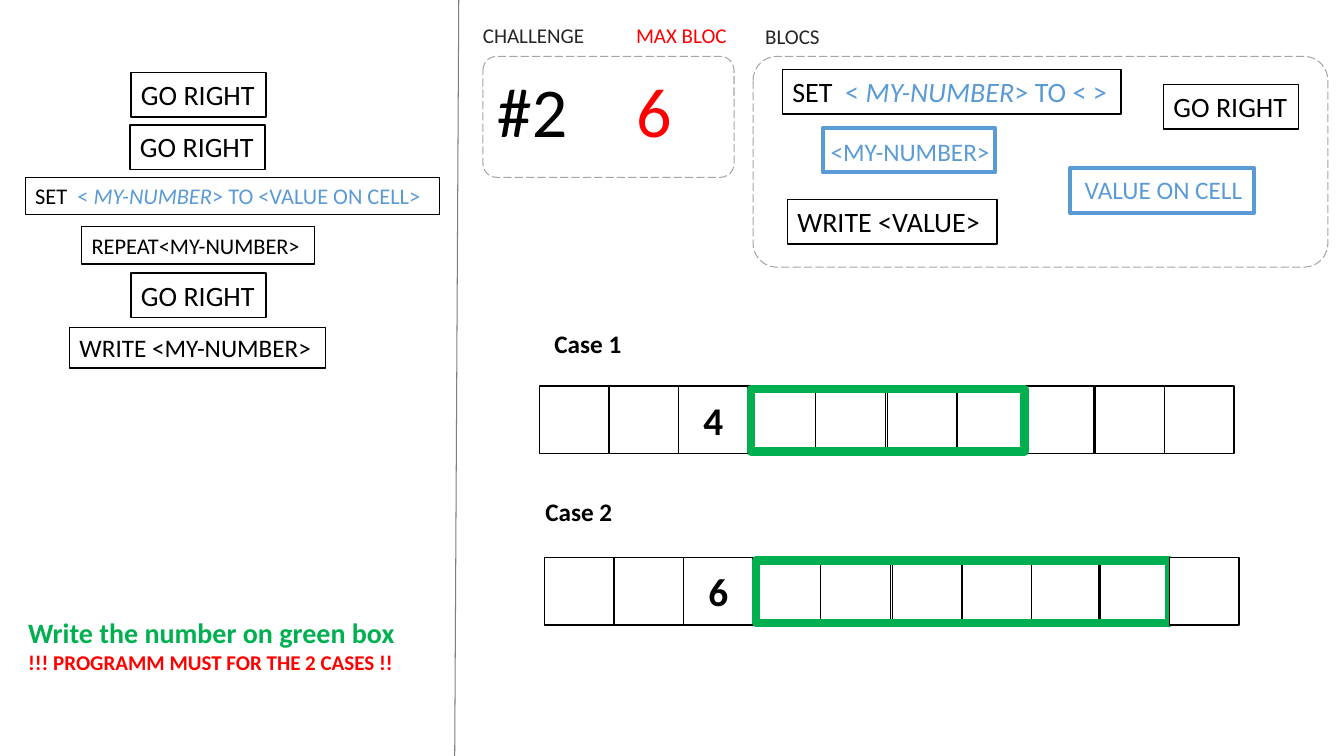
from dataclasses import dataclass

from lxml import etree
from pptx import Presentation
from pptx.dml.color import RGBColor
from pptx.enum.dml import MSO_LINE
from pptx.enum.shapes import MSO_CONNECTOR, MSO_SHAPE
from pptx.enum.text import MSO_ANCHOR, MSO_AUTO_SIZE, PP_ALIGN
from pptx.oxml.ns import qn
from pptx.util import Emu, Pt

RECTANGLE, ROUNDED = MSO_SHAPE.RECTANGLE, MSO_SHAPE.ROUNDED_RECTANGLE
LONG_DASH, STRAIGHT = MSO_LINE.LONG_DASH, MSO_CONNECTOR.STRAIGHT
LEFT, CENTER = PP_ALIGN.LEFT, PP_ALIGN.CENTER
TOP, MIDDLE = MSO_ANCHOR.TOP, MSO_ANCHOR.MIDDLE
NO_FIT, GROW = MSO_AUTO_SIZE.NONE, MSO_AUTO_SIZE.SHAPE_TO_FIT_TEXT

EMU_PER_PX = 9144  # 100 px to the inch
FONT = "Calibri"
BLACK, WHITE, DARK, GRAY = "000000", "FFFFFF", "262626", "A5A5A5"
DIVIDER_GRAY, RED, BLUE, GREEN = "7F7F7F", "FF0000", "5B9BD5", "00B050"


@dataclass(frozen=True)
class Run:
    text: str
    color: str = BLACK
    italic: bool = False


@dataclass(frozen=True)
class Block:
    """A programming block: outlined box with code text."""
    left: int
    top: int
    width: int
    height: int
    size: int
    runs: tuple[Run, ...]
    wrap: bool = True


@dataclass(frozen=True)
class Label:
    left: int
    top: int
    width: int
    height: int
    text: str
    size: int
    color: str = BLACK
    bold: bool = False
    wrap: bool = True


@dataclass(frozen=True)
class Case:
    """A row of cells with a green target frame."""
    left: int
    top: int
    number: str
    frame_width: int


def px(length: int) -> Emu:
    return Emu(length * EMU_PER_PX)


def rgb(color: str) -> RGBColor:
    return RGBColor.from_string(color)


def write(shape, runs: tuple[Run, ...], *, size: int, bold: bool = False, wrap: bool = True,
          align=LEFT, anchor=TOP, fit=GROW, new_paragraph: bool = False) -> None:
    frame = shape.text_frame
    frame.word_wrap, frame.auto_size, frame.vertical_anchor = wrap, fit, anchor
    paragraph = frame.add_paragraph() if new_paragraph else frame.paragraphs[0]
    paragraph.alignment = align
    for item in runs:
        run = paragraph.add_run()
        run.text = item.text
        font = run.font
        font.name, font.size, font.bold, font.italic = FONT, Pt(size), bold, item.italic
        font.color.rgb = rgb(item.color)


def add_box(shapes, left: int, top: int, width: int, height: int, *, line: str = BLACK,
            weight: float = 1, fill: str | None = WHITE, kind=RECTANGLE):
    shape = shapes.add_shape(kind, px(left), px(top), px(width), px(height))
    shape.shadow.inherit = False
    if fill:
        shape.fill.solid()
        shape.fill.fore_color.rgb = rgb(fill)
    else:
        shape.fill.background()
    shape.line.color.rgb = rgb(line)
    shape.line.width = Pt(weight)
    return shape


def add_panel(shapes, left: int, top: int, width: int, height: int) -> None:
    panel = add_box(shapes, left, top, width, height, line=GRAY, weight=0.75, kind=ROUNDED)
    # Same corner rounding on both panels
    panel.adjustments[0] = 0.113
    panel.line.dash_style = LONG_DASH


def add_block(shapes, block: Block) -> None:
    shape = add_box(shapes, block.left, block.top, block.width, block.height)
    write(shape, block.runs, size=block.size, wrap=block.wrap)


def add_label(shapes, label: Label):
    box = shapes.add_textbox(px(label.left), px(label.top), px(label.width), px(label.height))
    write(box, (Run(label.text, label.color),), size=label.size, bold=label.bold, wrap=label.wrap)
    return box


def add_case(shapes, case: Case) -> None:
    cells = shapes.add_group_shape().shapes

    def add_cell(index: int):
        return add_box(cells, case.left + CELL_OFFSETS[index], case.top, 69, 67)

    for index in CELL_ORDER:
        cell = add_cell(index)
        if index == NUMBER_CELL:
            write(cell, (Run(case.number),), size=28, bold=True, align=CENTER,
                  anchor=MIDDLE, fit=NO_FIT)
    add_box(cells, case.left + 210, case.top + 3, case.frame_width, 62,
            line=GREEN, weight=6, fill=None)
    add_cell(len(CELL_OFFSETS) - 1)  # the last cell lies over the frame


def go_right(left: int, top: int) -> Block:
    return Block(left, top, 134, 44, 20, (Run("GO RIGHT"),), wrap=False)


def set_number(value: str) -> tuple[Run, ...]:
    return (Run("SET  "), Run("< ", BLUE), Run("MY-NUMBER", BLUE, italic=True),
            Run(f"> TO {value}", BLUE))


CELL_OFFSETS = (0, 69, 138, 207, 274, 345, 414, 481, 551, 620)
CELL_ORDER = (8, 7, 0, 1, 2, 3, 4, 5, 6)
NUMBER_CELL = 2

PANELS = ((479, 56, 249, 120), (747, 56, 570, 209))
HEADINGS = (
    Label(483, 62, 91, 94, "#2", 50),
    Label(621, 62, 91, 94, "6", 50, RED),
    Label(749, 18, 75, 35, "BLOCS", 15, DARK),
    Label(621, 17, 111, 35, "MAX BLOC", 15, RED),
    Label(469, 17, 122, 35, "CHALLENGE", 15, DARK),
)
AVAILABLE_BLOCKS = (
    go_right(1154, 84),
    Block(776, 69, 336, 44, 20, set_number("< >")),
    Block(781, 198, 208, 44, 20, (Run("WRITE <VALUE>"),)),
)
VALUE_FRAMES = ((816, 127, 171, 44), (1061, 167, 183, 44))
VALUE_LABELS = (
    Label(814, 130, 181, 40, "<MY-NUMBER>", 18, BLUE, wrap=False),
    Label(1066, 168, 178, 40, "VALUE ON CELL", 18, BLUE, wrap=False),
)
CASE_LABELS = (
    Label(540, 321, 104, 40, "Case 1", 18, bold=True),
    Label(531, 487, 104, 40, "Case 2", 18, bold=True),
)
CASES = (Case(535, 383, "4", 271), Case(540, 553, "6", 410))
PROGRAM_BLOCKS = (
    go_right(130, 72),
    go_right(129, 124),
    Block(25, 176, 411, 37, 16, set_number("<VALUE ON CELL>")),
    Block(81, 225, 231, 37, 16, (Run("REPEAT<MY-NUMBER>"),), wrap=False),
    go_right(130, 271),
    Block(69, 325, 254, 40, 18, (Run("WRITE <MY-NUMBER>"),)),
)


def main() -> None:
    presentation = Presentation()
    presentation.slide_width, presentation.slide_height = px(1333), px(750)
    slide = presentation.slides.add_slide(presentation.slide_layouts[6])
    shapes = slide.shapes

    # Divider between program and challenge
    divider = shapes.add_connector(STRAIGHT, px(455), px(0), px(451), px(750))
    divider.line.color.rgb = rgb(DIVIDER_GRAY)
    divider.line.width = Pt(0.75)
    etree.SubElement(divider.element.spPr, qn("a:effectLst"))

    # Challenge header and available blocks
    for panel in PANELS:
        add_panel(shapes, *panel)
    for frame in VALUE_FRAMES:
        add_box(shapes, *frame, line=BLUE, weight=3)
    for block in AVAILABLE_BLOCKS + PROGRAM_BLOCKS:
        add_block(shapes, block)
    for label in HEADINGS + VALUE_LABELS + CASE_LABELS:
        add_label(shapes, label)

    # Instruction
    task = add_label(shapes, Label(18, 606, 407, 69, "Write the number on green box", 20,
                                   GREEN, bold=True))
    write(task, (Run("!!! PROGRAMM MUST FOR THE 2 CASES !!", RED),), size=15, bold=True,
          new_paragraph=True)

    # Cell rows
    for case in CASES:
        add_case(shapes, case)

    presentation.save("out.pptx")


if __name__ == "__main__":
    main()
